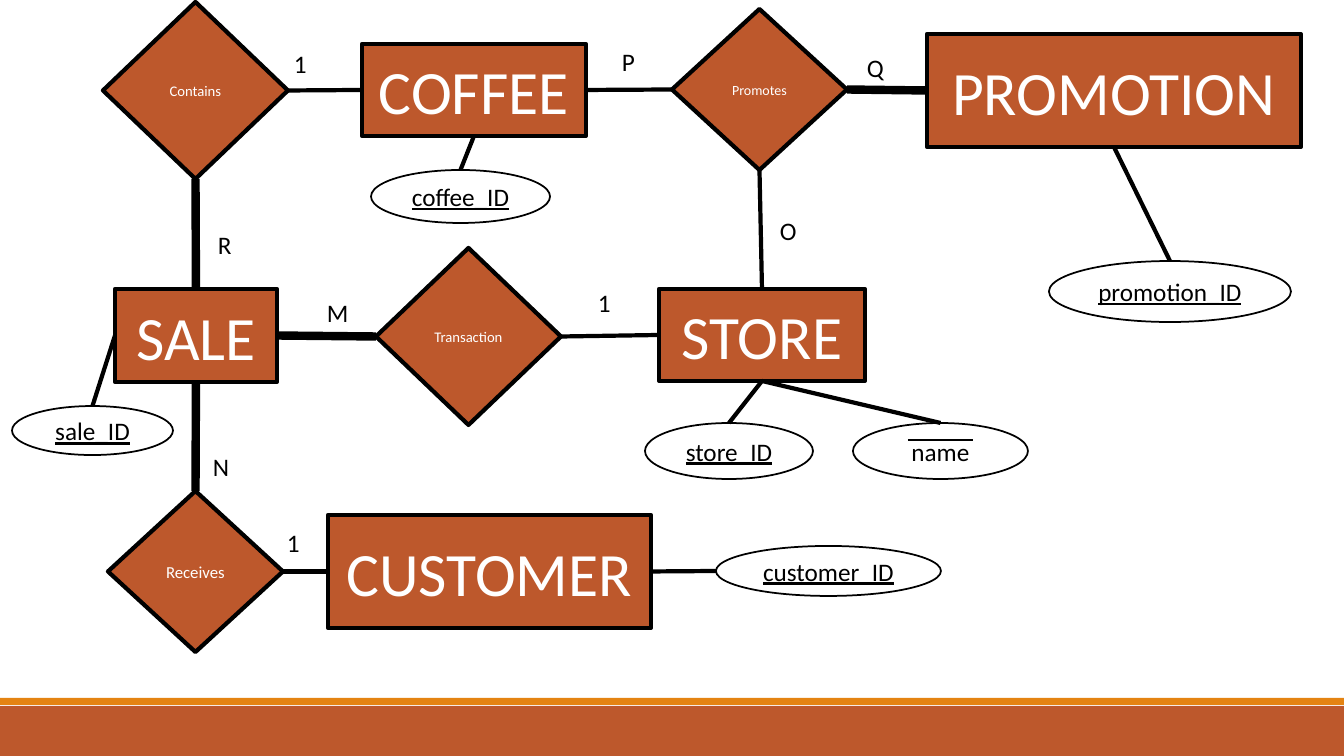
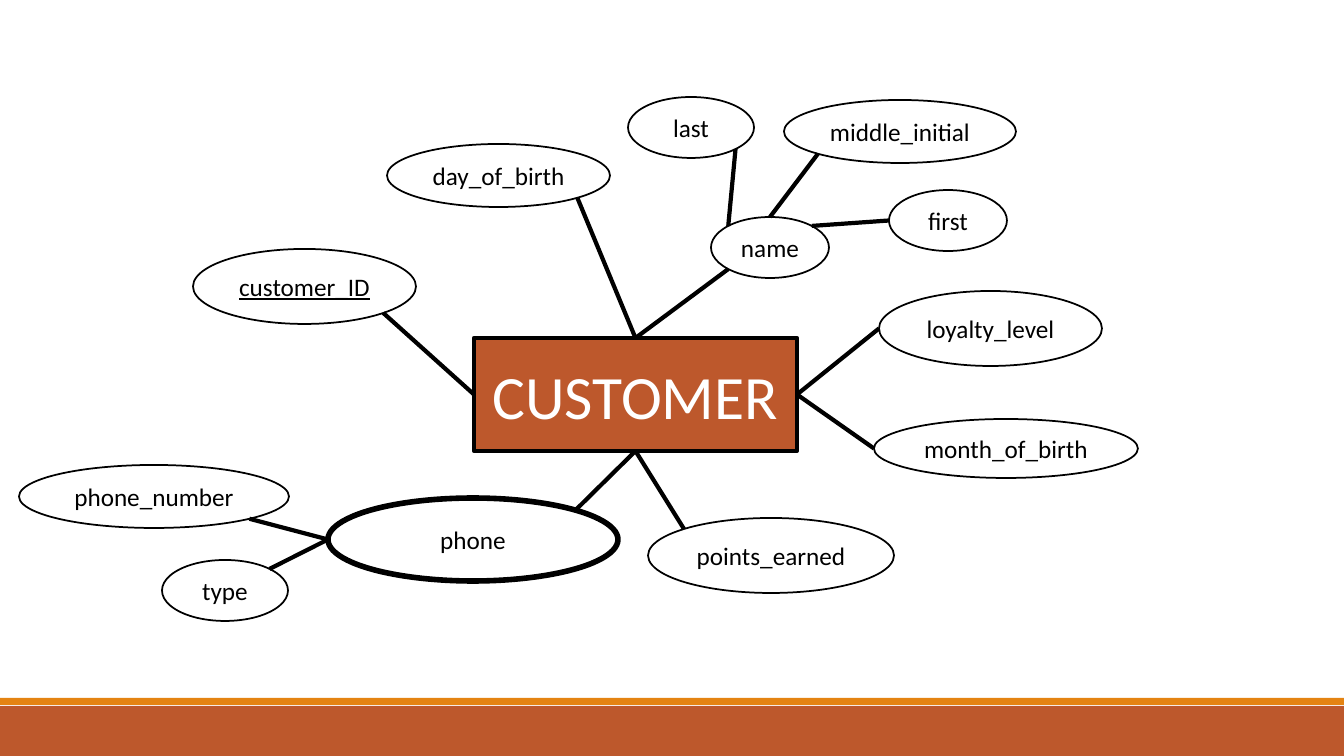
import dataclasses
import enum
import math
import typing

import lxml.etree
import pptx
import pptx.dml.color
import pptx.enum.shapes
import pptx.enum.text
import pptx.oxml.ns
import pptx.presentation
import pptx.shapes.autoshape
import pptx.shapes.connector
import pptx.slide
import pptx.util

SLIDE_WIDTH = 1344
SLIDE_HEIGHT = 756
EMU_PER_PX = 914400 / 100.8
PRESET = pptx.enum.shapes.MSO_SHAPE


@dataclasses.dataclass(frozen=True)
class Theme:
    font: str = "Calibri"
    brick: str = "BD582C"
    orange: str = "E48312"
    white: str = "FFFFFF"
    black: str = "000000"
    entity_size: float = 44
    body_size: float = 18
    thin: float = 1.25
    regular: float = 3
    multivalued: float = 4
    total: float = 6
    overline: float = 1


THEME = Theme()


@dataclasses.dataclass(frozen=True)
class Style:
    preset: PRESET
    fill: str
    ink: str
    size: float
    outline: float
    underline: bool = False


ENTITY = Style(PRESET.RECTANGLE, THEME.brick, THEME.white, THEME.entity_size, THEME.regular)
RELATIONSHIP = Style(PRESET.DIAMOND, THEME.brick, THEME.white, 10.5, THEME.regular)
ATTRIBUTE = Style(PRESET.OVAL, THEME.white, THEME.black, THEME.body_size, THEME.thin)
KEY = dataclasses.replace(ATTRIBUTE, underline=True)
MULTIVALUED = dataclasses.replace(ATTRIBUTE, outline=THEME.multivalued)


class Site(enum.Enum):
    TOP = (0, -1)
    TOP_LEFT = (-1, -1)
    LEFT = (-1, 0)
    BOTTOM_LEFT = (-1, 1)
    BOTTOM = (0, 1)
    BOTTOM_RIGHT = (1, 1)
    RIGHT = (1, 0)
    TOP_RIGHT = (1, -1)


class Point(typing.NamedTuple):
    x: float
    y: float


@dataclasses.dataclass(frozen=True)
class Node:
    text: str
    style: Style
    left: int
    top: int
    width: int
    height: int

    def point(self, site: Site) -> Point:
        across, down = site.value
        reach = 0.5 / math.hypot(across, down)
        return Point(
            self.left + self.width * (0.5 + across * reach),
            self.top + self.height * (0.5 + down * reach),
        )

    def site_index(self, site: Site) -> int:
        index = list(Site).index(site)
        return index if self.style.preset == PRESET.OVAL else index // 2


class Link(typing.NamedTuple):
    start: str
    start_site: Site
    end: str
    end_site: Site
    weight: float = THEME.regular


class Label(typing.NamedTuple):
    text: str
    left: int
    top: int
    width: int = 34
    height: int = 40


class Diagram(typing.NamedTuple):
    nodes: list[Node]
    links: list[Link]
    labels: list[Label]
    overlines: list[tuple[Point, Point]]


OVERVIEW = Diagram(
    nodes=[
        Node("STORE", ENTITY, 659, 289, 206, 92),
        Node("PROMOTION", ENTITY, 927, 34, 374, 113),
        Node("COFFEE", ENTITY, 362, 44, 224, 92),
        Node("SALE", ENTITY, 115, 289, 162, 93),
        Node("CUSTOMER", ENTITY, 328, 515, 323, 113),
        Node("Receives", dataclasses.replace(RELATIONSHIP, size=12), 108, 491, 175, 161),
        Node("Transaction", RELATIONSHIP, 376, 248, 185, 177),
        Node("Contains", RELATIONSHIP, 103, 2, 185, 177),
        Node("Promotes", dataclasses.replace(RELATIONSHIP, size=10), 672, 9, 175, 161),
        Node("promotion_ID", KEY, 1049, 261, 242, 61),
        Node("coffee_ID", KEY, 371, 170, 179, 53),
        Node("customer_ID", KEY, 716, 546, 225, 50),
        Node("sale_ID", KEY, 12, 406, 161, 49),
        Node("store_ID", KEY, 645, 423, 168, 56),
        Node("name", ATTRIBUTE, 853, 423, 175, 56),
    ],
    links=[
        Link("SALE", Site.RIGHT, "Transaction", Site.LEFT, THEME.total),
        Link("STORE", Site.LEFT, "Transaction", Site.RIGHT),
        Link("STORE", Site.TOP, "Promotes", Site.BOTTOM),
        Link("CUSTOMER", Site.LEFT, "Receives", Site.RIGHT),
        Link("SALE", Site.BOTTOM, "Receives", Site.TOP, THEME.total),
        Link("Contains", Site.BOTTOM, "SALE", Site.TOP, THEME.total),
        Link("Contains", Site.RIGHT, "COFFEE", Site.LEFT),
        Link("COFFEE", Site.RIGHT, "Promotes", Site.LEFT),
        Link("Promotes", Site.RIGHT, "PROMOTION", Site.LEFT, THEME.total),
        Link("customer_ID", Site.LEFT, "CUSTOMER", Site.RIGHT),
        Link("COFFEE", Site.BOTTOM, "coffee_ID", Site.TOP),
        Link("PROMOTION", Site.BOTTOM, "promotion_ID", Site.TOP),
        Link("STORE", Site.BOTTOM, "store_ID", Site.TOP),
        Link("STORE", Site.BOTTOM, "name", Site.TOP),
        Link("sale_ID", Site.TOP, "SALE", Site.LEFT),
    ],
    labels=[
        Label("1", 284, 43),
        Label("R", 208, 224),
        Label("1", 277, 522),
        Label("N", 203, 446, 36),
        Label("M", 317, 292, 42),
        Label("1", 588, 282),
        Label("P", 612, 41),
        Label("Q", 857, 47, 37),
        Label("O", 770, 210, 37),
    ],
    overlines=[(Point(908, 440), Point(973, 440))],
)

CUSTOMER_DETAIL = Diagram(
    nodes=[
        Node("CUSTOMER", ENTITY, 474, 338, 323, 113),
        Node("customer_ID", KEY, 193, 249, 223, 75),
        Node("first", ATTRIBUTE, 889, 190, 118, 61),
        Node("last", ATTRIBUTE, 628, 97, 126, 61),
        Node("middle_initial", ATTRIBUTE, 784, 100, 232, 63),
        Node("day_of_birth", ATTRIBUTE, 387, 144, 223, 63),
        Node("month_of_birth", ATTRIBUTE, 874, 419, 264, 59),
        Node("loyalty_level", ATTRIBUTE, 879, 291, 223, 75),
        Node("points_earned", ATTRIBUTE, 648, 518, 246, 75),
        Node("phone", MULTIVALUED, 328, 498, 290, 83),
        Node("name", ATTRIBUTE, 711, 217, 118, 61),
        Node("phone_number", ATTRIBUTE, 19, 465, 270, 63),
        Node("type", ATTRIBUTE, 162, 560, 126, 61),
    ],
    links=[
        Link("CUSTOMER", Site.LEFT, "customer_ID", Site.BOTTOM_RIGHT),
        Link("CUSTOMER", Site.TOP, "day_of_birth", Site.BOTTOM_RIGHT),
        Link("last", Site.BOTTOM_RIGHT, "name", Site.TOP_LEFT),
        Link("middle_initial", Site.BOTTOM_LEFT, "name", Site.TOP),
        Link("first", Site.LEFT, "name", Site.TOP_RIGHT),
        Link("points_earned", Site.TOP_LEFT, "CUSTOMER", Site.BOTTOM),
        Link("loyalty_level", Site.LEFT, "CUSTOMER", Site.RIGHT),
        Link("month_of_birth", Site.LEFT, "CUSTOMER", Site.RIGHT),
        Link("phone", Site.TOP_RIGHT, "CUSTOMER", Site.BOTTOM),
        Link("name", Site.BOTTOM_LEFT, "CUSTOMER", Site.TOP),
        Link("type", Site.TOP_RIGHT, "phone", Site.LEFT),
        Link("phone_number", Site.BOTTOM_RIGHT, "phone", Site.LEFT),
    ],
    labels=[],
    overlines=[],
)


def px(length: float) -> pptx.util.Emu:
    return pptx.util.Emu(round(length * EMU_PER_PX))


def color(value: str) -> pptx.dml.color.RGBColor:
    return pptx.dml.color.RGBColor.from_string(value)


def write_text(
    shape: pptx.shapes.autoshape.Shape, text: str, size: float, ink: str, underline: bool = False
) -> None:
    paragraph = shape.text_frame.paragraphs[0]
    paragraph.text = text
    font = paragraph.font
    font.name = THEME.font
    font.size = pptx.util.Pt(size)
    font.color.rgb = color(ink)
    if underline:
        paragraph.runs[0].font.underline = True


def add_filled_shape(
    slide: pptx.slide.Slide, preset: PRESET, fill: str, left: int, top: int, width: int, height: int
) -> pptx.shapes.autoshape.Shape:
    shape = slide.shapes.add_shape(preset, px(left), px(top), px(width), px(height))
    shape.shadow.inherit = False
    shape.fill.solid()
    shape.fill.fore_color.rgb = color(fill)
    return shape


def add_node(slide: pptx.slide.Slide, node: Node) -> pptx.shapes.autoshape.Shape:
    style = node.style
    shape = add_filled_shape(
        slide, style.preset, style.fill, node.left, node.top, node.width, node.height
    )
    shape.line.color.rgb = color(THEME.black)
    shape.line.width = pptx.util.Pt(style.outline)
    write_text(shape, node.text, style.size, style.ink, style.underline)
    shape.text_frame.paragraphs[0].alignment = pptx.enum.text.PP_ALIGN.CENTER
    return shape


def add_line(
    slide: pptx.slide.Slide, start: Point, end: Point, weight: float
) -> pptx.shapes.connector.Connector:
    connector = slide.shapes.add_connector(
        pptx.enum.shapes.MSO_CONNECTOR.STRAIGHT, px(start.x), px(start.y), px(end.x), px(end.y)
    )
    connector.line.color.rgb = color(THEME.black)
    connector.line.width = pptx.util.Pt(weight)
    lxml.etree.SubElement(connector.element.spPr, pptx.oxml.ns.qn("a:effectLst"))
    return connector


def glue(connector: pptx.shapes.connector.Connector, tag: str, shape_id: int, site: int) -> None:
    properties = connector.element.nvCxnSpPr.cNvCxnSpPr
    lxml.etree.SubElement(properties, pptx.oxml.ns.qn(tag), id=str(shape_id), idx=str(site))


def add_label(slide: pptx.slide.Slide, label: Label) -> None:
    box = slide.shapes.add_textbox(
        px(label.left), px(label.top), px(label.width), px(label.height)
    )
    box.text_frame.word_wrap = False
    box.text_frame.auto_size = pptx.enum.text.MSO_AUTO_SIZE.SHAPE_TO_FIT_TEXT
    write_text(box, label.text, THEME.body_size, THEME.black)


def add_diagram(slide: pptx.slide.Slide, diagram: Diagram) -> None:
    nodes = {node.text: node for node in diagram.nodes}
    shapes = {node.text: add_node(slide, node) for node in diagram.nodes}
    for link in diagram.links:
        start, end = nodes[link.start], nodes[link.end]
        connector = add_line(
            slide, start.point(link.start_site), end.point(link.end_site), link.weight
        )
        glue(connector, "a:stCxn", shapes[link.start].shape_id, start.site_index(link.start_site))
        glue(connector, "a:endCxn", shapes[link.end].shape_id, end.site_index(link.end_site))
    for start_point, end_point in diagram.overlines:
        add_line(slide, start_point, end_point, THEME.overline)
    for label in diagram.labels:
        add_label(slide, label)


def add_master_bands(
    presentation: pptx.presentation.Presentation, slide: pptx.slide.Slide
) -> None:
    master = presentation.slide_master
    for fill, top, height in ((THEME.brick, 706, 50), (THEME.orange, 698, 7)):
        band = add_filled_shape(slide, PRESET.RECTANGLE, fill, 0, top, SLIDE_WIDTH, height)
        band.line.fill.background()
        next_id = max(shape.shape_id for shape in master.shapes) + 1
        band.element.nvSpPr.cNvPr.set("id", str(next_id))
        master.element.cSld.spTree.append(band.element)


def main() -> None:
    presentation = pptx.Presentation()
    presentation.slide_width = px(SLIDE_WIDTH)
    presentation.slide_height = px(SLIDE_HEIGHT)
    blank_layout = presentation.slide_layouts.get_by_name("Blank")
    slides = [presentation.slides.add_slide(blank_layout) for _ in range(2)]
    add_master_bands(presentation, slides[0])
    for slide, diagram in zip(slides, (OVERVIEW, CUSTOMER_DETAIL)):
        add_diagram(slide, diagram)
    presentation.save("out.pptx")


if __name__ == "__main__":
    main()
